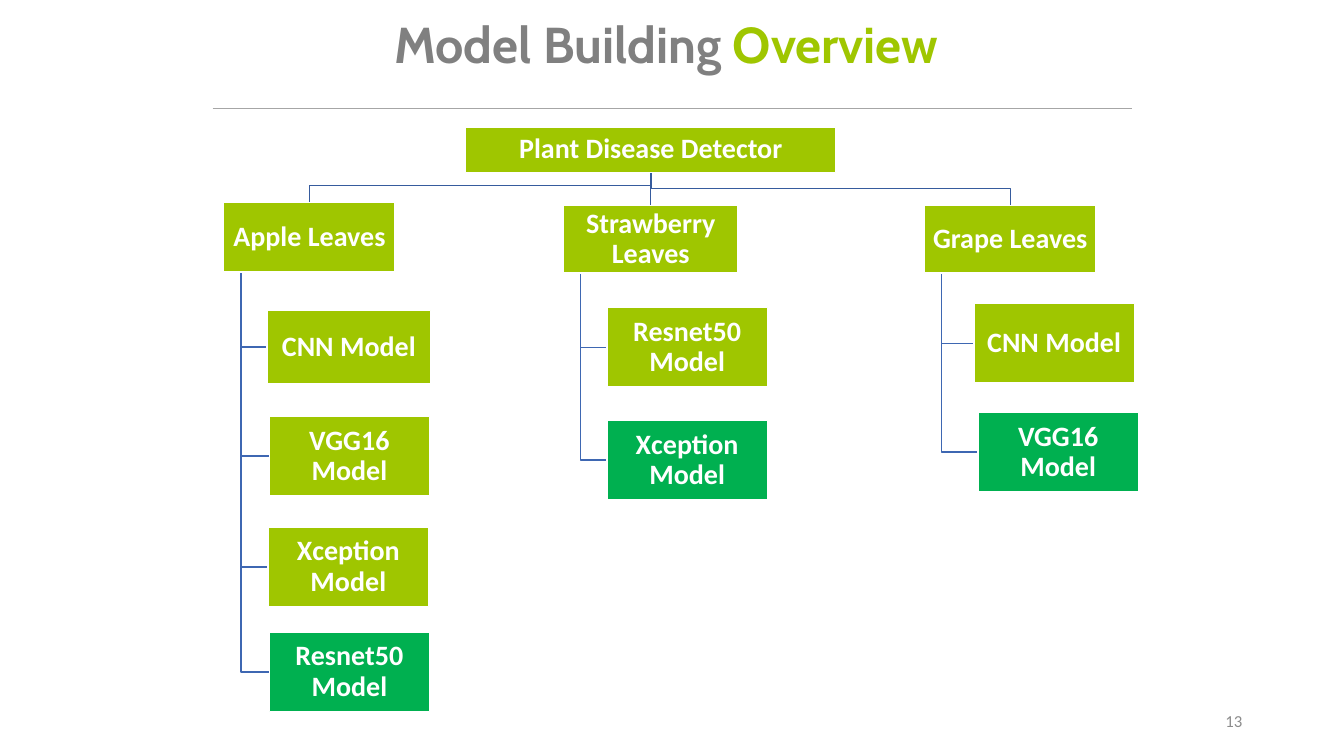
from lxml.etree import SubElement
from pptx import Presentation
from pptx.dml.color import RGBColor as Rgb
from pptx.enum.shapes import MSO_CONNECTOR as Conn, MSO_SHAPE as Shape
from pptx.enum.text import MSO_ANCHOR as Anchor, MSO_AUTO_SIZE as Fit, PP_ALIGN as Align
from pptx.oxml.ns import qn
from pptx.util import Inches, Pt

HUE = {"lime": "9FC600", "best": "00B050", "white": "FFFFFF", "title": "808080",
       "rule": "A6A6A6", "trunk": "365B9D", "stem": "3E67B2", "page": "8C8C8C"}
TITLE = [("Model Building ", "title"), ("Overview", "lime")]
ROOT = ("Plant Disease Detector", 4.62, 1.26, 3.67, 0.45)
TREE = [
    (("Apple Leaves", 2.22, 2.01, 1.7, 0.69), [
        ("CNN Model", 2.65, 3.08, 1.62, 0.73),
        ("VGG16 Model", 2.67, 4.13, 1.59, 0.79),
        ("Xception Model", 2.66, 5.23, 1.59, 0.79),
        ("Resnet50 Model", 2.67, 6.27, 1.59, 0.79)]),
    (("Strawberry Leaves", 5.59, 2.04, 1.73, 0.67), [
        ("Resnet50 Model", 6.02, 3.05, 1.59, 0.79),
        ("Xception Model", 6.02, 4.17, 1.59, 0.79)]),
    (("Grape Leaves", 9.17, 2.04, 1.7, 0.67), [
        ("CNN Model", 9.66, 3.01, 1.59, 0.79),
        ("VGG16 Model", 9.7, 4.09, 1.59, 0.79)]),
]
INDENT = DROP = 0.17

deck = Presentation()
deck.slide_width, deck.slide_height = Inches(13.33), Inches(7.5)
slide = deck.slides.add_slide(deck.slide_layouts[5])
shapes = slide.shapes


def color(name):
    return Rgb.from_string(HUE[name])


def write(par, text, size, hue, face="Calibri", bold=True):
    run = par.add_run()
    run.text = text
    font = run.font
    font.size, font.name, font.bold = Pt(size), face, bold
    font.color.rgb = color(hue)


def line(x1, y1, x2, y2, hue, width):
    link = shapes.add_connector(Conn.STRAIGHT, *map(Inches, (x1, y1, x2, y2)))
    link.line.color.rgb, link.line.width = color(hue), Pt(width)
    SubElement(link._element.spPr, qn("a:effectLst"))


def wire(points, hue):
    first, *rest = [(Inches(x), Inches(y)) for x, y in points]
    pen = shapes.build_freeform(*first)
    pen.add_line_segments(rest, close=False)
    path = pen.convert_to_shape()
    path.shadow.inherit = False
    path.fill.background()
    path.line.color.rgb, path.line.width = color(hue), Pt(1)


def box(node, hue="lime"):
    text, *place = node
    card = shapes.add_shape(Shape.RECTANGLE, *map(Inches, place))
    card.shadow.inherit = False
    card.fill.solid()
    card.fill.fore_color.rgb = color(hue)
    card.line.color.rgb, card.line.width = color("white"), Pt(1)
    frame = card.text_frame
    frame.word_wrap, frame.vertical_anchor = True, Anchor.MIDDLE
    frame.margin_left = frame.margin_right = Inches(0.01)
    frame.margin_top = frame.margin_bottom = Inches(0.01)
    par = frame.paragraphs[0]
    par.alignment, par.line_spacing = Align.CENTER, 0.9
    write(par, text, 20, "white")


head = shapes.title
head.left, head.top, head.width, head.height = map(Inches, (0.86, 0.15, 11.5, 0.76))
frame = head.text_frame
frame.auto_size, frame.vertical_anchor = Fit.NONE, Anchor.TOP
par = frame.paragraphs[0]
par.alignment, par.line_spacing = Align.CENTER, 0.9
for text, hue in TITLE:
    write(par, text, 36, hue, "Cabin")
line(2.11, 1.08, 11.23, 1.08, "rule", 0.75)

_, left, top, wide, high = ROOT
mid, base = left + wide / 2, top + high
for (_, left, top, wide, high), kids in TREE:
    end, bend = left + wide / 2, top - DROP
    if abs(end - mid) < 0.01:
        line(mid, base, mid, top, "trunk", 1)
    else:
        wire([(mid, base), (mid, bend), (end, bend), (end, top)], "trunk")
    stem, foot = left + INDENT, top + high
    for _, x, y, _, tall in kids:
        level = y + tall / 2
        wire([(stem, foot), (stem, level), (x, level)], "stem")

box(ROOT)
for branch, kids in TREE:
    box(branch)
    for kid in kids:
        box(kid, "best" if kid is kids[-1] else "lime")

page = shapes.add_textbox(*map(Inches, (9.42, 6.95, 3, 0.4))).text_frame
page.word_wrap, page.vertical_anchor = True, Anchor.MIDDLE
par = page.paragraphs[0]
par.alignment = Align.RIGHT
write(par, "13", 12, "page", bold=False)

deck.save("out.pptx")
